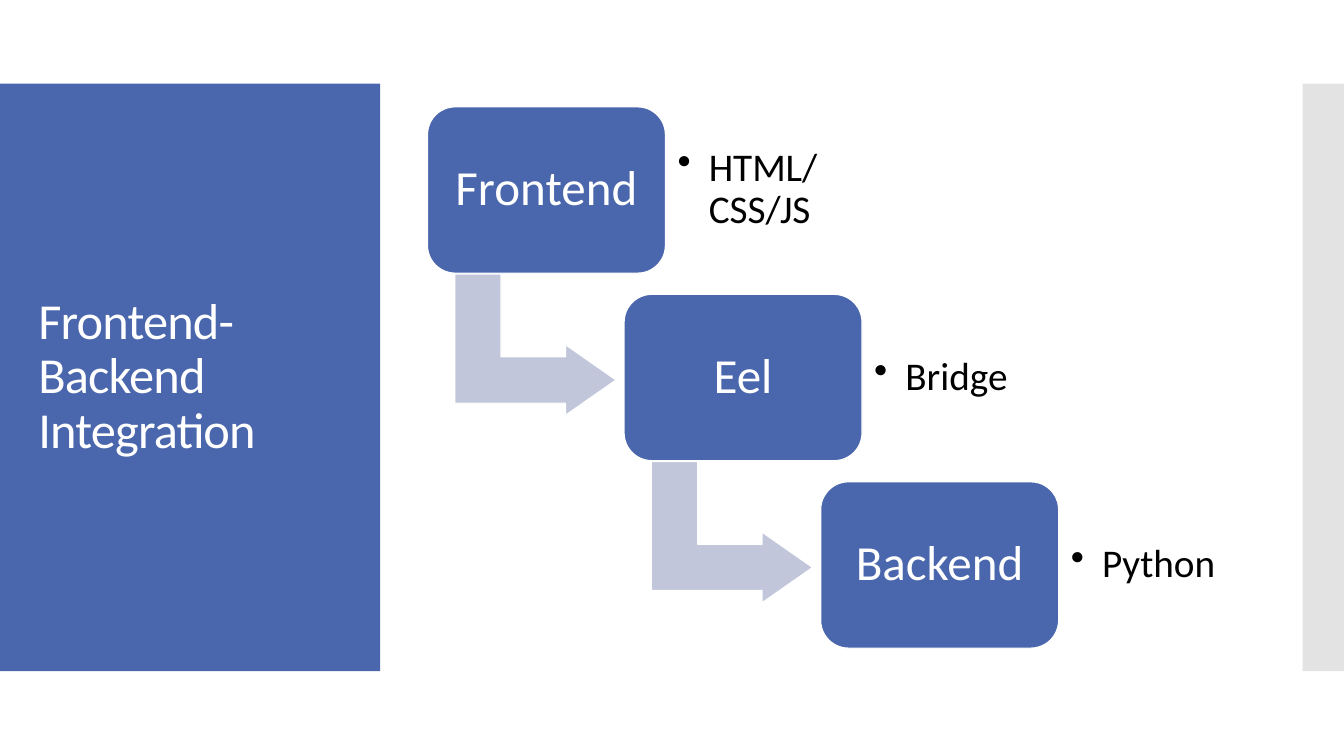
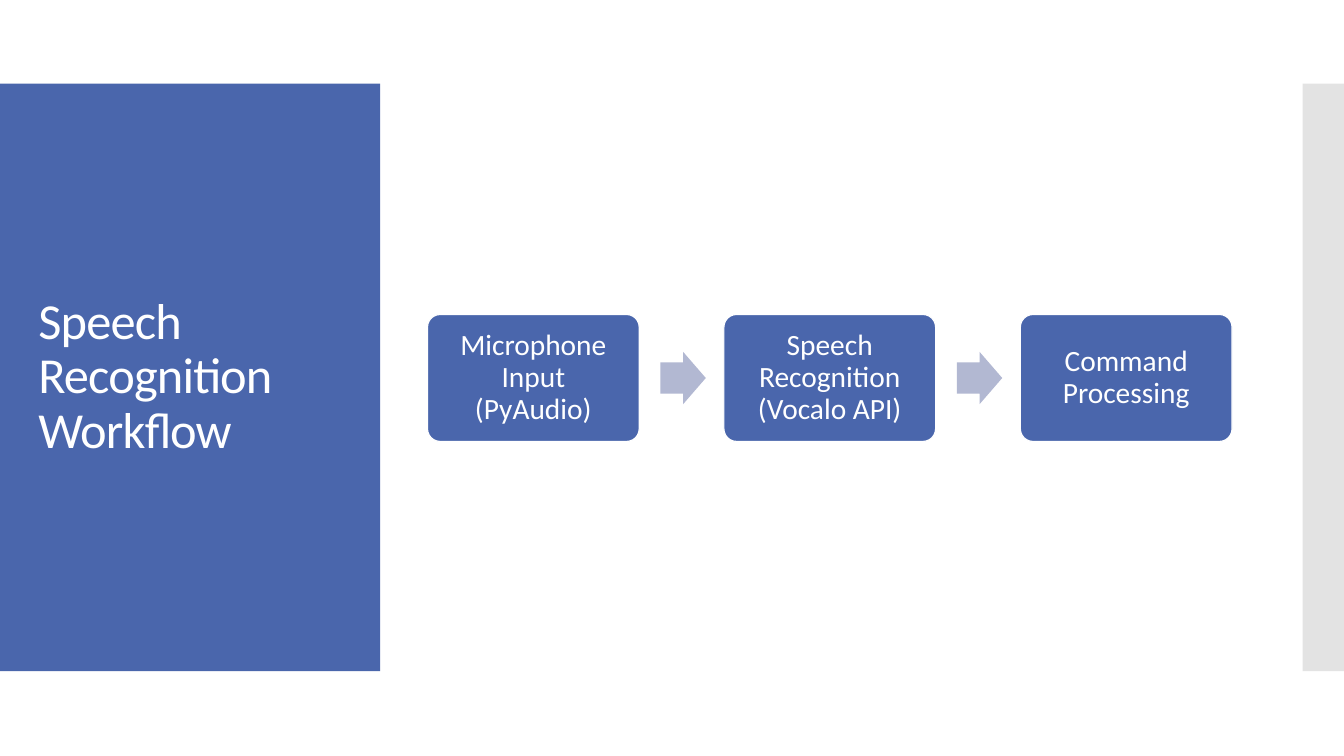
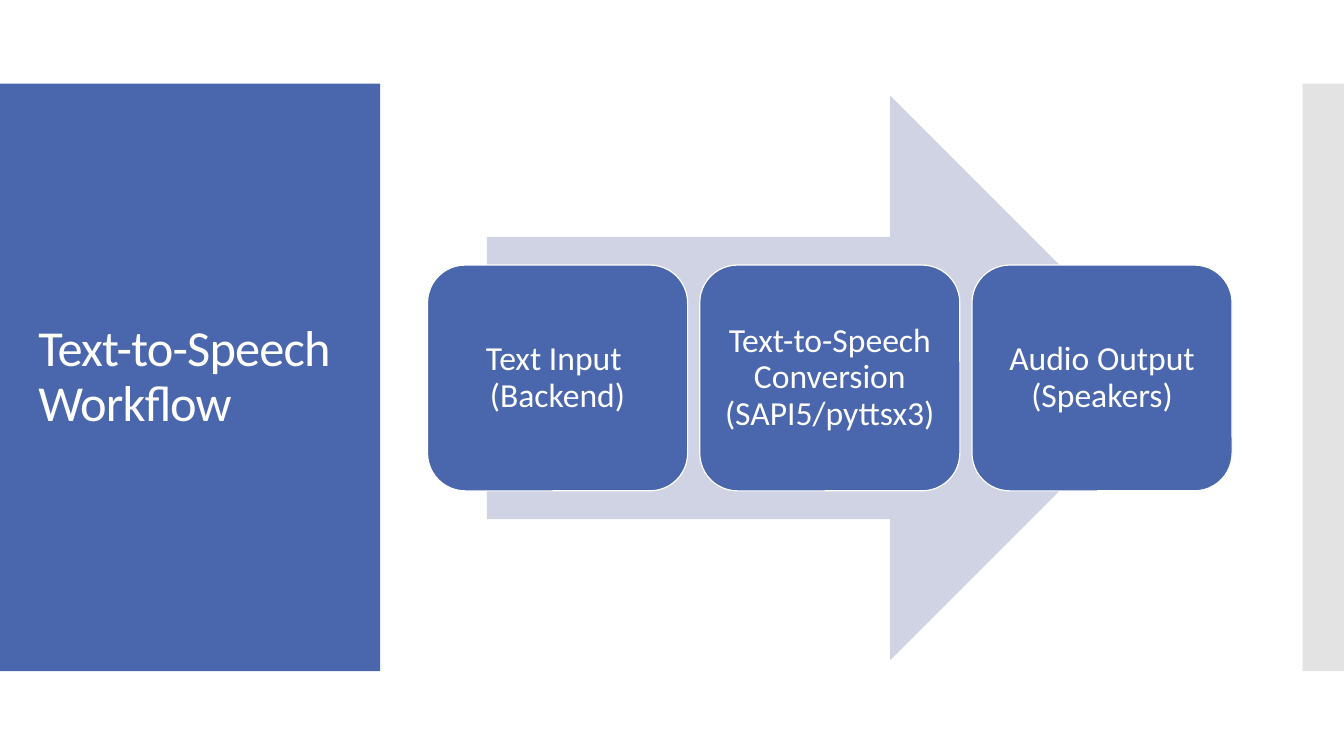
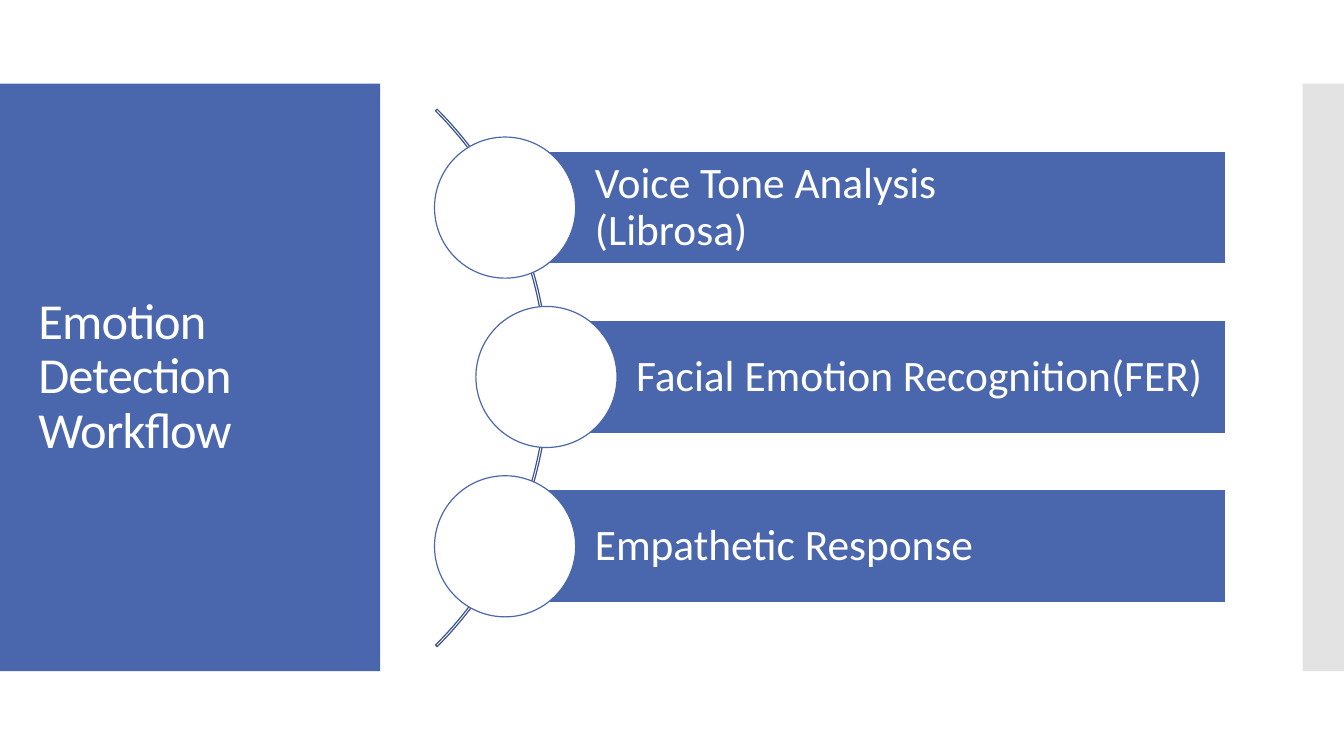
from lxml.etree import SubElement
from pptx import Presentation
from pptx.dml.color import RGBColor
from pptx.enum.shapes import MSO_SHAPE as Preset
from pptx.enum.text import MSO_ANCHOR as Anchor, MSO_AUTO_SIZE as AutoSize, PP_ALIGN as Align
from pptx.oxml.ns import qn
from pptx.util import Inches, Pt

FONT = "Calibri"
BLUE, WHITE, BLACK, GREY = "4A66AC", "FFFFFF", "000000", "C8C8C8"
BENT_ARROW, STEP_ARROW, WIDE_ARROW, ARC_LINE = "C1C6DB", "B2B8D2", "D0D3E3", "3B528A"
SLIDE_WIDTH, SLIDE_HEIGHT = 13.33, 7.5
MIDDLE = SLIDE_HEIGHT / 2
BAND_TOP, BAND_HEIGHT = 0.83, 5.83
CONTENT_LEFT, CONTENT_WIDTH = 4.24, 7.98


def color(hex_string):
    return RGBColor.from_string(hex_string)


def spread(start, extent, size, count):
    step = (extent - size) / (count - 1)
    return [start + step * index for index in range(count)]


def add_box(slide, preset, left, top, width, height, fill=None, line=None, adjustments=()):
    shape = slide.shapes.add_shape(preset, *map(Inches, (left, top, width, height)))
    shape.shadow.inherit = False
    if fill:
        shape.fill.solid()
        shape.fill.fore_color.rgb = color(fill)
    else:
        shape.fill.background()
    if line:
        shape.line.color.rgb = color(line)
        shape.line.width = Pt(0.85)
    else:
        shape.line.fill.background()
    for index, value in enumerate(adjustments):
        shape.adjustments[index] = value
    return shape


def set_text(shape, text, size, font_color=WHITE, align=Align.LEFT, insets=(0.1, 0.05, 0.1, 0.05)):
    frame = shape.text_frame
    frame.word_wrap = True
    frame.auto_size = AutoSize.NONE
    frame.vertical_anchor = Anchor.MIDDLE
    frame.margin_left, frame.margin_top, frame.margin_right, frame.margin_bottom = map(Inches, insets)
    paragraph = frame.paragraphs[0]
    paragraph.text = text
    paragraph.alignment = align
    paragraph.line_spacing = 0.9
    paragraph.font.name = FONT
    paragraph.font.size = Pt(size)
    paragraph.font.color.rgb = color(font_color)
    return paragraph


def add_card(slide, text, left, top, width, height, size, inset, rounding):
    card = add_box(slide, Preset.ROUNDED_RECTANGLE, left, top, width, height, BLUE, WHITE, [rounding])
    set_text(card, text, size, align=Align.CENTER, insets=[inset] * 4)


def add_bullet_label(slide, text, left, top, width, height):
    label = slide.shapes.add_textbox(*map(Inches, (left, top, width, height)))
    paragraph = set_text(label, text, 28, BLACK, insets=[0.12] * 4)
    properties = paragraph._p.get_or_add_pPr()
    properties.set("marL", str(Inches(0.31)))
    properties.set("indent", str(Inches(-0.31)))
    bullet = SubElement(properties, qn("a:buChar"), char="•")
    properties.find(qn("a:defRPr")).addprevious(bullet)


def add_titled_slide(presentation, layout, text):
    slide = presentation.slides.add_slide(layout)
    title = slide.shapes.title
    title.left, title.top, title.width, title.height = map(Inches, (0.28, 1.23, 3.22, 5.03))
    paragraph = set_text(title, text, 36)
    paragraph._p.pPr.find(qn("a:defRPr")).set("spc", "-60")
    return slide


def move_bands_to_layout(slide, layout):
    title_band = add_box(slide, Preset.RECTANGLE, 0, BAND_TOP, 3.77, BAND_HEIGHT, BLUE)
    edge_band = add_box(slide, Preset.RECTANGLE, SLIDE_WIDTH - 0.41, BAND_TOP, 0.41, BAND_HEIGHT, GREY)
    fill_color = edge_band.element.spPr.find(qn("a:solidFill"))[0]
    SubElement(fill_color, qn("a:alpha"), val="50000")
    for band in (title_band, edge_band):
        layout.shapes.element.append(band.element)


def draw_integration(slide):
    card_width, card_height, label_width, label_height = 2.36, 1.65, 1.72, 1.34
    arrow_width, arrow_height = 1.4, 1.6
    steps = [("Frontend", "HTML/CSS/JS"), ("Eel", "Bridge"), ("Backend", "Python")]
    lefts = spread(CONTENT_LEFT, CONTENT_WIDTH, card_width + label_width, len(steps))
    tops = spread(1.06, 5.37, card_height, len(steps))
    for left, top in zip(lefts[:-1], tops):
        arrow = add_box(slide, Preset.BENT_UP_ARROW, left + 0.37, top + 1.56, arrow_width, arrow_height,
                        BENT_ARROW, WHITE, [0.328, 0.25, 0.358])
        arrow.rotation = 90
    for (name, detail), left, top in zip(steps, lefts, tops):
        add_card(slide, name, left, top, card_width, card_height, 35, 0.15, 0.167)
        label_top = top + (card_height - label_height) / 2
        add_bullet_label(slide, detail, left + card_width, label_top, label_width, label_height)


def draw_speech_recognition(slide):
    card_width, card_height, arrow_width, arrow_height = 2.1, 1.26, 0.45, 0.52
    steps = ["Microphone Input\n(PyAudio)", "Speech Recognition\n(Vocalo API)", "Command Processing"]
    lefts = spread(CONTENT_LEFT, CONTENT_WIDTH, card_width, len(steps))
    for text, left in zip(steps, lefts):
        add_card(slide, text, left, MIDDLE - card_height / 2, card_width, card_height, 21, 0.09, 0.1)
    for left in lefts[:-1]:
        add_box(slide, Preset.RIGHT_ARROW, left + card_width + 0.21, MIDDLE - arrow_height / 2,
                arrow_width, arrow_height, STEP_ARROW, adjustments=[0.6, 0.5])


def draw_text_to_speech(slide):
    card_width, card_height, arrow_width, arrow_height = 2.58, 2.24, 6.8, 5.6
    steps = ["Text Input \n(Backend)", "Text-to-Speech Conversion\n(SAPI5/pyttsx3)", "Audio Output\n(Speakers)"]
    add_box(slide, Preset.RIGHT_ARROW, CONTENT_LEFT + (CONTENT_WIDTH - arrow_width) / 2,
            MIDDLE - arrow_height / 2, arrow_width, arrow_height, WIDE_ARROW)
    for text, left in zip(steps, spread(CONTENT_LEFT, CONTENT_WIDTH, card_width, len(steps))):
        add_card(slide, text, left, MIDDLE - card_height / 2, card_width, card_height, 24, 0.1, 0.167)


def draw_emotion_detection(slide):
    bar_height, bar_right, diameter, arc_size = 1.12, 12.16, 1.4, 7.54
    rows = [("Voice Tone Analysis\n(Librosa)", 5.01),
            ("Facial Emotion Recognition(FER)", 5.42),
            ("Empathetic Response", 5.01)]
    add_box(slide, Preset.BLOCK_ARC, -2.1, MIDDLE - arc_size / 2, arc_size, arc_size,
            line=ARC_LINE, adjustments=[189, 27, 0.003])
    for (text, left), top in zip(rows, spread(1.5, 4.48, bar_height, len(rows))):
        bar = add_box(slide, Preset.RECTANGLE, left, top, bar_right - left, bar_height, BLUE, WHITE)
        set_text(bar, text, 31, insets=(0.89, 0.09, 0.09, 0.09))
        add_box(slide, Preset.OVAL, left - diameter / 2, top + (bar_height - diameter) / 2,
                diameter, diameter, WHITE, BLUE)


def main():
    presentation = Presentation()
    presentation.slide_width = Inches(SLIDE_WIDTH)
    presentation.slide_height = Inches(SLIDE_HEIGHT)
    layout = presentation.slide_layouts.get_by_name("Title Only")
    pages = [("Frontend-Backend Integration", draw_integration),
             ("Speech Recognition Workflow", draw_speech_recognition),
             ("Text-to-Speech Workflow", draw_text_to_speech),
             ("Emotion Detection Workflow", draw_emotion_detection)]
    for title, draw in pages:
        draw(add_titled_slide(presentation, layout, title))
    move_bands_to_layout(presentation.slides[0], layout)
    presentation.save("out.pptx")


if __name__ == "__main__":
    main()
